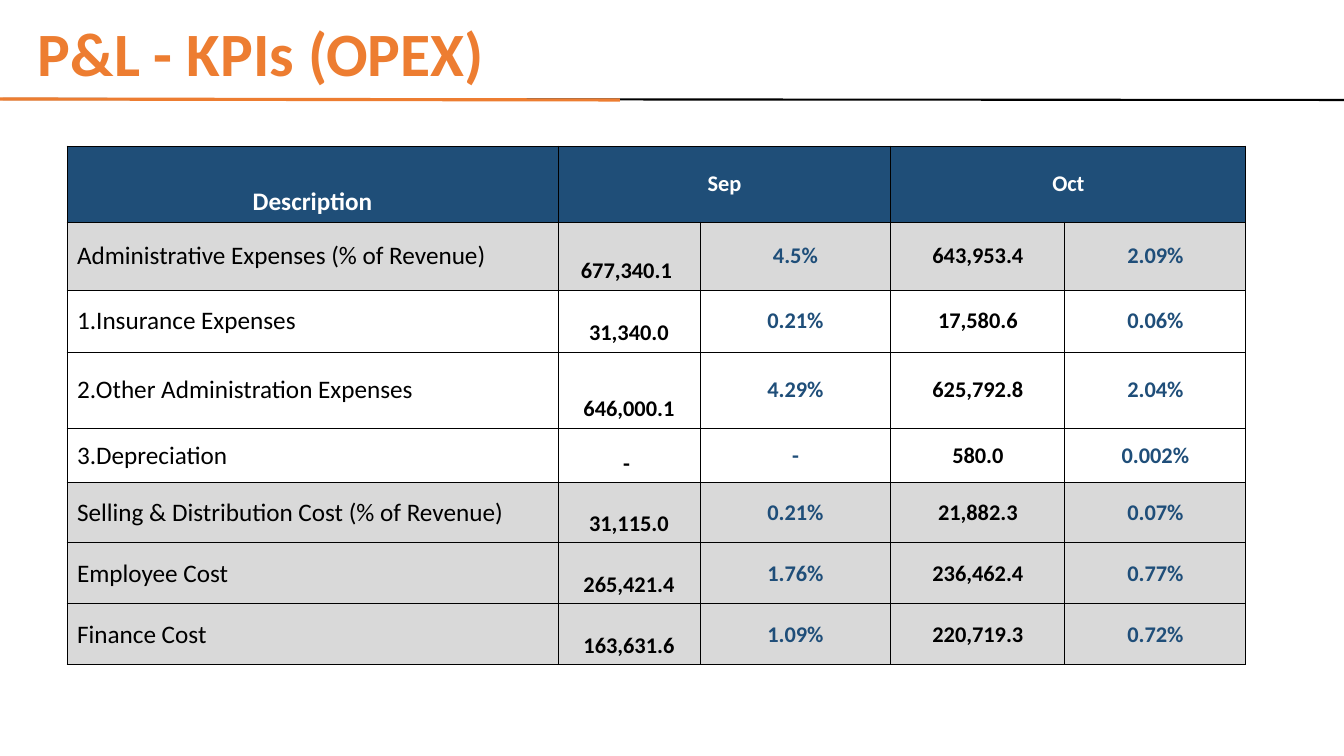
from lxml import etree
from pptx import Presentation
from pptx import util as u
from pptx.dml.color import RGBColor
from pptx.enum import shapes, text
from pptx.oxml import ns

ORANGE = RGBColor(0xED, 0x7D, 0x31)
NAVY = RGBColor(0x1F, 0x4E, 0x78)
BLUE = RGBColor(0x1F, 0x4E, 0x79)
GREY = RGBColor(0xD9, 0xD9, 0xD9)
WHITE = RGBColor(0xFF, 0xFF, 0xFF)
BLACK = RGBColor(0, 0, 0)

MIDDLE, BOTTOM = text.MSO_ANCHOR.MIDDLE, text.MSO_ANCHOR.BOTTOM
LEFT, CENTER = text.PP_ALIGN.LEFT, text.PP_ALIGN.CENTER

COLUMNS = [491, 142, 191, 174, 181]
ROWS = [76, 68, 62, 76, 55, 60, 61, 61]
HEADER = ["Description", "Sep", "", "Oct", ""]
EXPENSES = [
    (GREY, "Administrative Expenses (% of Revenue)", "677,340.1 ", "4.5%", "643,953.4", "2.09%"),
    (WHITE, "1.Insurance Expenses", "31,340.0", "0.21%", "17,580.6", "0.06%"),
    (WHITE, "2.Other Administration Expenses", "646,000.1", "4.29%", "625,792.8", "2.04%"),
    (WHITE, "3.Depreciation", "- ", "-", "580.0", "0.002%"),
    (GREY, "Selling & Distribution Cost (% of Revenue)", "31,115.0", "0.21%", "21,882.3", "0.07%"),
    (GREY, "Employee Cost", "265,421.4", "1.76%", "236,462.4", "0.77%"),
    (GREY, "Finance Cost", "163,631.6", "1.09%", "220,719.3", "0.72%"),
]
COLUMN_STYLES = [
    dict(size=18, bold=False, align=LEFT),
    dict(anchor=BOTTOM),
    dict(color=BLUE),
    dict(),
    dict(color=BLUE),
]


def px(n):
    """Turn whole pixels into EMU."""
    return u.Emu(round(n * 12192000 / 1344))


def write(tf, words, size=16, color=BLACK, bold=True, align=CENTER, spacing=None):
    """Put one formatted paragraph into a text frame."""
    p = tf.paragraphs[0]
    p.alignment = align
    if spacing:
        p.line_spacing = spacing
    r = p.add_run()
    r.text = words
    r.font.name = "Calibri"
    r.font.size = u.Pt(size)
    r.font.bold = bold
    r.font.color.rgb = color


class Deck:
    """Hold the presentation and draw on its current slide."""

    def __init__(self):
        self.prs = Presentation()
        self.prs.slide_width, self.prs.slide_height = px(1344), px(756)
        self.s = self.prs.slides.add_slide(self.prs.slide_layouts[6])

    def line(self, x1, y1, x2, y2, color, width):
        """Draw a straight line without a shadow."""
        sp = self.s.shapes.add_connector(
            shapes.MSO_CONNECTOR.STRAIGHT, px(x1), px(y1), px(x2), px(y2))
        sp.line.color.rgb = color
        sp.line.width = u.Pt(width)
        etree.SubElement(sp._element.spPr, ns.qn("a:effectLst"))

    def label(self, x, y, w, h, words, **style):
        """Add a wrapped, vertically centred text box."""
        tf = self.s.shapes.add_textbox(px(x), px(y), px(w), px(h)).text_frame
        tf.word_wrap = True
        tf.vertical_anchor = MIDDLE
        write(tf, words, **style)

    def table(self, x, y, columns, rows):
        """Add an unstyled grid with the given column and row sizes."""
        frame = self.s.shapes.add_table(
            len(rows), len(columns), px(x), px(y), px(sum(columns)), px(sum(rows)))
        grid = frame.table
        grid.first_row = grid.horz_banding = False
        for col, w in zip(grid.columns, columns):
            col.width = px(w)
        for row, h in zip(grid.rows, rows):
            row.height = px(h)
        return grid

    def cell(self, cell, words, fill, anchor=MIDDLE, **style):
        """Fill, outline and letter one table cell."""
        tc_pr = cell._tc.get_or_add_tcPr()
        for side in "LRTB":
            ln = etree.SubElement(tc_pr, ns.qn(f"a:ln{side}"), w=str(u.Pt(0.75)))
            solid = etree.SubElement(ln, ns.qn("a:solidFill"))
            etree.SubElement(solid, ns.qn("a:srgbClr"), val=str(BLACK))
        cell.fill.solid()
        cell.fill.fore_color.rgb = fill
        cell.vertical_anchor = anchor
        if words:
            write(cell.text_frame, words, **style)


def main():
    """Build the operating expense slide."""
    deck = Deck()
    deck.line(3, 99, 1344, 100, BLACK, 1.5)
    deck.label(28, 11, 1004, 92, "P&L - KPIs (OPEX)",
               size=44, color=ORANGE, align=LEFT, spacing=0.9)
    deck.line(0, 99, 620, 100, ORANGE, 2.25)

    grid = deck.table(67, 146, COLUMNS, ROWS)
    for c, words in enumerate(HEADER):
        style = dict(size=18, anchor=BOTTOM) if c == 0 else {}
        deck.cell(grid.cell(0, c), words, NAVY, color=WHITE, **style)
    for c in (1, 3):
        grid.cell(0, c).merge(grid.cell(0, c + 1))
    for r, (fill, *values) in enumerate(EXPENSES, 1):
        for c, (words, style) in enumerate(zip(values, COLUMN_STYLES)):
            deck.cell(grid.cell(r, c), words, fill, **style)
    deck.prs.save("out.pptx")


if __name__ == "__main__":
    main()
